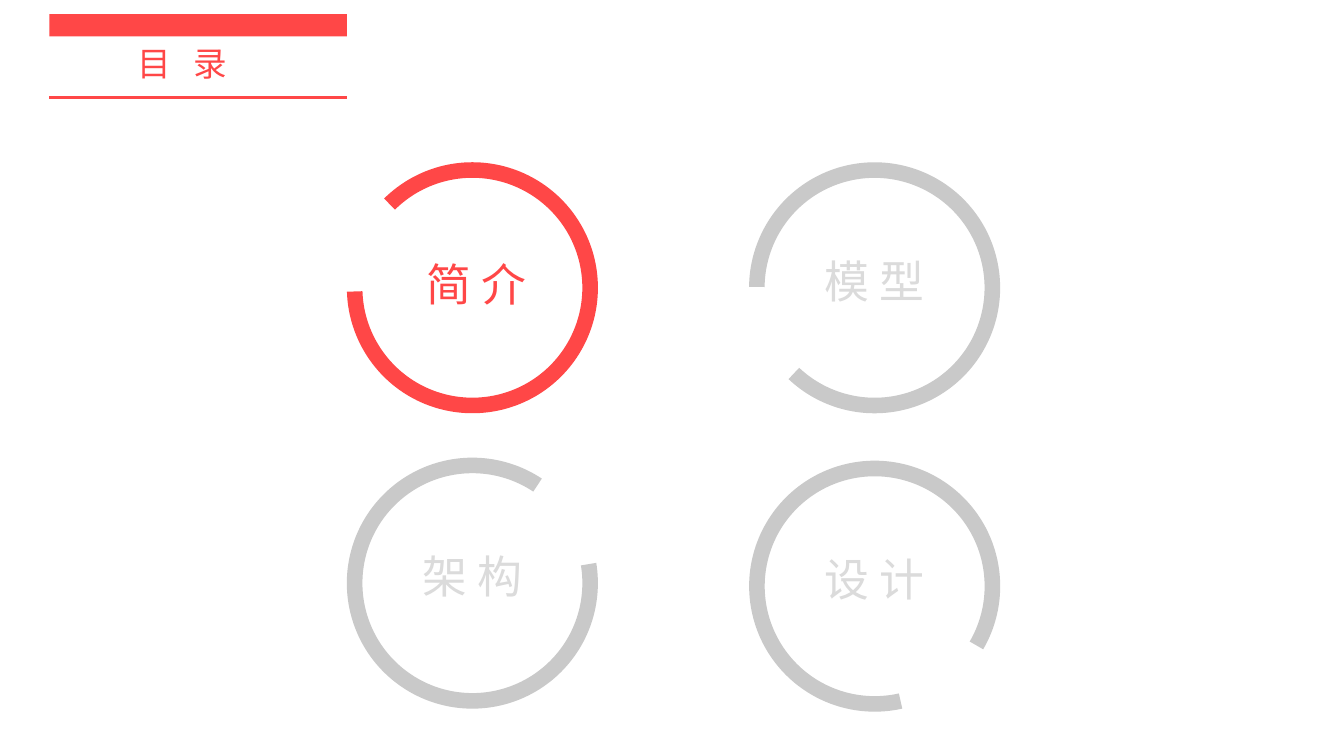
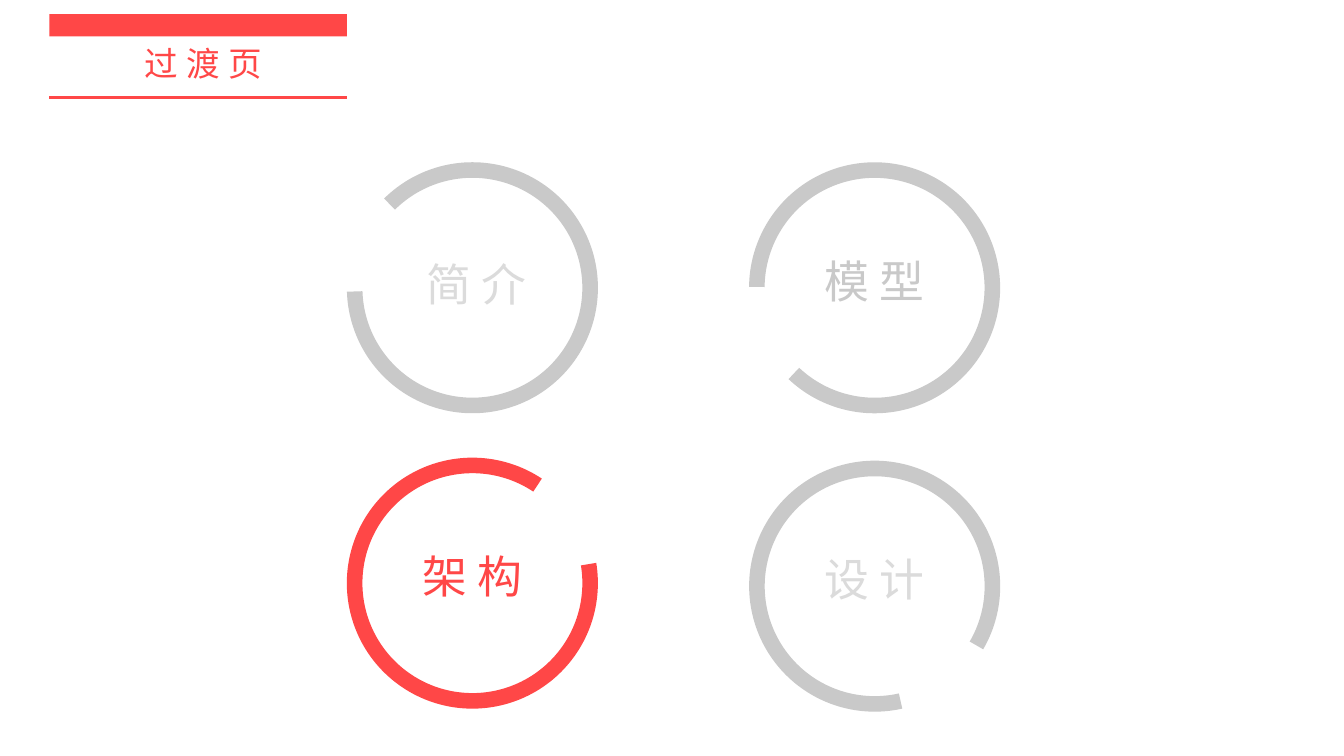
from dataclasses import dataclass

import pptx
import pptx.dml.color
import pptx.enum.shapes
import pptx.enum.text
import pptx.oxml.ns
import pptx.util
from lxml import etree

ALIGN = pptx.enum.text.PP_ALIGN
SHAPES = pptx.enum.shapes.MSO_SHAPE
INCH = pptx.util.Inches


@dataclass(frozen=True)
class Theme:
    accent: str = "FF4747"
    ring: str = "C9C9C9"
    label: str = "DBDBDB"
    font: str = "Noto Sans CJK SC"
    title_size: int = 24
    label_size: int = 32
    rule_width: int = 2


@dataclass(frozen=True)
class Grid:
    """Ring grid and title band, in inches."""
    left: float = 3.44
    top: float = 1.61
    column_pitch: float = 3.99
    row_pitch: float = 2.93
    ring: float = 2.49
    label_width: float = 1.54
    label_height: float = 0.64
    label_drop: float = 0.85
    band_left: float = 0.49
    band_width: float = 2.95


@dataclass(frozen=True)
class Chapter:
    name: str
    column: int
    row: int
    rotation: float
    ring_drop: float = 0
    label_shift: tuple = (0, 0)


THEME = Theme()
GRID = Grid()
RING_ARC = (135.18, 106.915, 0.062)  # start, end, thickness
CHAPTERS = (
    Chapter("简 介", 0, 0, 0, label_shift=(0.04, 0.03)),
    Chapter("模 型", 1, 0, 315.1),
    Chapter("架 构", 0, 1, 125.4),
    Chapter("设 计", 1, 1, 212, ring_drop=0.03),
)


def color(value):
    return pptx.dml.color.RGBColor.from_string(value)


def write_text(shape, text, size, text_color, alignment, spacing=0):
    frame = shape.text_frame
    frame.text = text
    frame.word_wrap = True
    frame.auto_size = pptx.enum.text.MSO_AUTO_SIZE.NONE
    frame.vertical_anchor = pptx.enum.text.MSO_ANCHOR.MIDDLE
    paragraph = frame.paragraphs[0]
    paragraph.alignment = alignment
    run = paragraph.runs[0]
    run.font.size = pptx.util.Pt(size)
    run.font.color.rgb = color(text_color)
    run.font.name = THEME.font
    # East Asian typeface and letter spacing
    properties = run._r.get_or_add_rPr()
    etree.SubElement(properties, pptx.oxml.ns.qn("a:ea"), typeface=THEME.font)
    if spacing:
        properties.set("spc", str(round(spacing * 100)))


def add_filled_shape(slide, kind, left, top, width, height, fill):
    shape = slide.shapes.add_shape(
        kind, INCH(left), INCH(top), INCH(width), INCH(height))
    shape.shadow.inherit = False
    shape.fill.solid()
    shape.fill.fore_color.rgb = color(fill)
    shape.line.fill.background()
    return shape


def add_title_band(slide, text, alignment, spacing):
    # Bar above the title
    add_filled_shape(slide, SHAPES.RECTANGLE, GRID.band_left, 0.14,
                     GRID.band_width, 0.22, THEME.accent)
    # Rule below the title
    rule = slide.shapes.add_connector(
        pptx.enum.shapes.MSO_CONNECTOR.STRAIGHT,
        INCH(GRID.band_left), INCH(0.97),
        INCH(GRID.band_left + GRID.band_width), INCH(0.97))
    rule.line.color.rgb = color(THEME.accent)
    rule.line.width = pptx.util.Pt(THEME.rule_width)
    etree.SubElement(rule._element.spPr, pptx.oxml.ns.qn("a:effectLst"))
    # Title
    title = slide.shapes.title
    title.left, title.top = INCH(1.26), INCH(0.38)
    title.width, title.height = INCH(1.51), INCH(0.5)
    write_text(title, text, THEME.title_size, THEME.accent, alignment, spacing)


def add_chapter(slide, chapter, ring_color, label_color):
    left = GRID.left + chapter.column * GRID.column_pitch
    top = GRID.top + chapter.row * GRID.row_pitch + chapter.ring_drop
    # Open ring
    ring = add_filled_shape(slide, SHAPES.BLOCK_ARC, left, top,
                            GRID.ring, GRID.ring, ring_color)
    ring.rotation = chapter.rotation
    for index, value in enumerate(RING_ARC):
        ring.adjustments[index] = value
    # Chapter name
    shift_x, shift_y = chapter.label_shift
    label = slide.shapes.add_textbox(
        INCH(left + (GRID.ring - GRID.label_width) / 2 + shift_x),
        INCH(top + GRID.label_drop + shift_y),
        INCH(GRID.label_width), INCH(GRID.label_height))
    write_text(label, chapter.name, THEME.label_size, label_color, ALIGN.CENTER)


def add_contents_slide(presentation, title, alignment, spacing, active,
                       darker=()):
    slide = presentation.slides.add_slide(presentation.slide_layouts[5])
    add_title_band(slide, title, alignment, spacing)
    for chapter in CHAPTERS:
        ring_color, label_color = THEME.ring, THEME.label
        if chapter.name == active:
            ring_color = label_color = THEME.accent
        elif chapter.name in darker:
            label_color = THEME.ring
        add_chapter(slide, chapter, ring_color, label_color)


def main():
    presentation = pptx.Presentation()
    presentation.slide_width = INCH(13.33)
    presentation.slide_height = INCH(7.5)
    add_contents_slide(presentation, "目 录", ALIGN.LEFT, 5.4, active="简 介")
    add_contents_slide(presentation, "过渡页", ALIGN.CENTER, 6, active="架 构",
                       darker=("模 型",))
    presentation.save("out.pptx")


if __name__ == "__main__":
    main()
